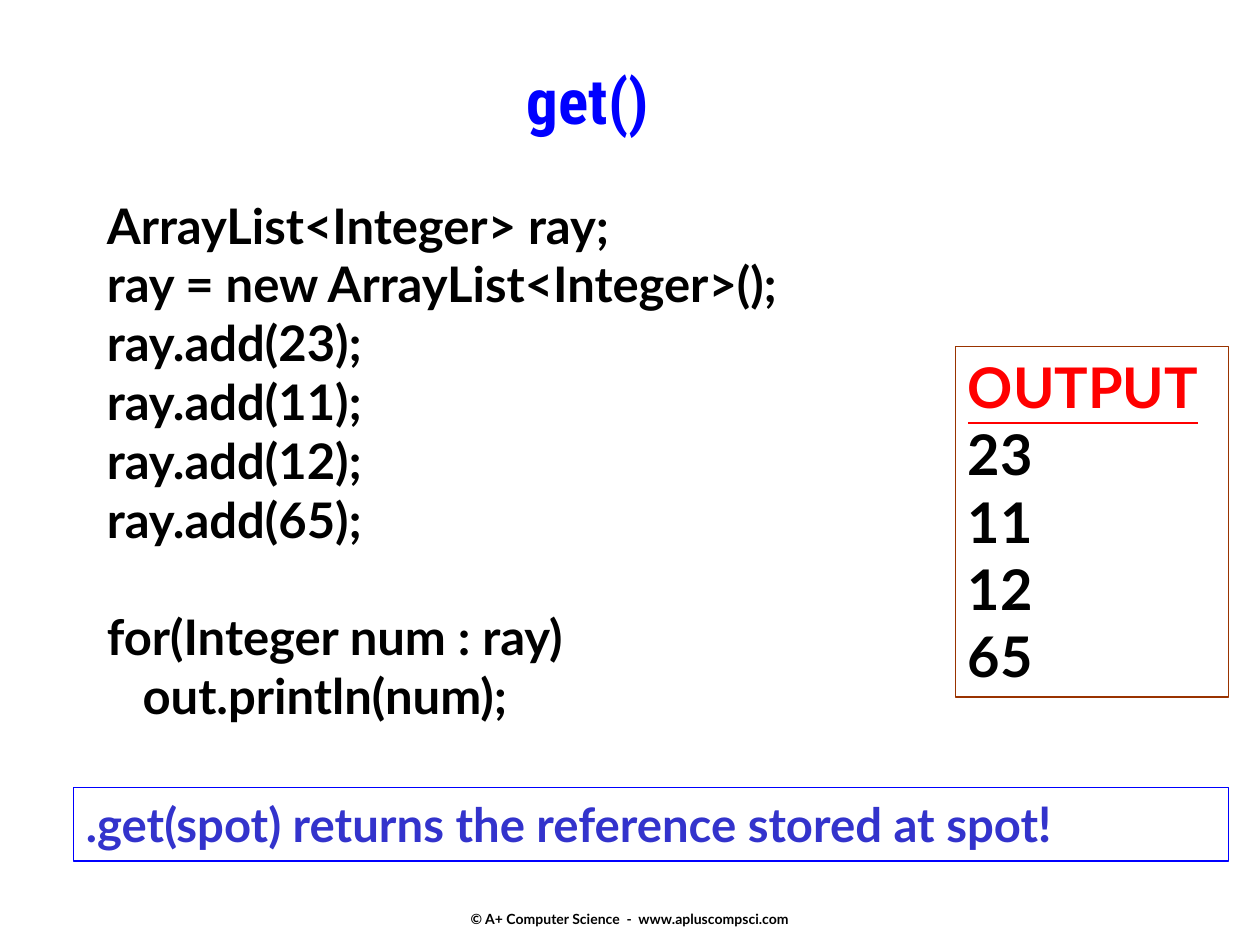
from dataclasses import dataclass

from pptx import Presentation
from pptx.dml.color import RGBColor as RGB
from pptx.enum.shapes import MSO_SHAPE as Shape
from pptx.enum.text import MSO_ANCHOR as Anchor, MSO_AUTO_SIZE as AutoSize, PP_ALIGN as Align
from pptx.util import Inches, Pt

COLS, ROWS = 120, 90  # grid of 1/12 inch cells


@dataclass(frozen=True)
class Theme:
    body_font: str = "Lato"
    title_font: str = "Roboto Condensed"
    black: str = "000000"
    blue: str = "0000FF"
    red: str = "FF0000"
    indigo: str = "3333CC"
    brown: str = "993300"
    title: int = 36
    output: int = 32
    code: int = 28
    note: int = 27
    footer: int = 8


THEME = Theme()

CODE = [
    ["ArrayList<Integer> ray;", "ray = new ArrayList<Integer>();"]
    + [f"ray.add({n});" for n in (23, 11, 12, 65)],
    ["for(Integer num : ray)", "   out.println(num);"],
]


def cells(*counts):
    return [Inches(n / 12) for n in counts]


def style(p, size, color, font=THEME.body_font):
    p.font.name, p.font.size, p.font.bold = font, Pt(size), True
    p.font.color.rgb = RGB.from_string(color)


def write(tf, lines, size, color):
    """Fill a frame with one paragraph per line and return the paragraphs."""
    for i, line in enumerate(lines):
        p = tf.paragraphs[0] if i == 0 else tf.add_paragraph()
        p.text = line
        p.alignment = Align.LEFT
        style(p, size, color)
    return tf.paragraphs


def add_title(s, grid, text):
    sp = s.shapes.title
    sp.left, sp.top, sp.width, sp.height = cells(*grid)
    tf = sp.text_frame
    tf.text = text
    tf.auto_size, tf.vertical_anchor = AutoSize.NONE, Anchor.MIDDLE
    p = tf.paragraphs[0]
    p.alignment = Align.CENTER
    style(p, THEME.title, THEME.blue, THEME.title_font)


def add_code(s, grid, blocks):
    tf = s.shapes.add_textbox(*cells(*grid)).text_frame
    tf.word_wrap = False
    paragraphs = write(tf, sum(blocks, []), THEME.code, THEME.black)
    # One empty line's height separates the blocks
    paragraphs[len(blocks[0])].space_before = Pt(THEME.code * 1.2)


def add_panel(s, grid, line, lines, size, color):
    sp = s.shapes.add_shape(Shape.RECTANGLE, *cells(*grid))
    sp.shadow.inherit = False
    sp.fill.background()
    sp.line.color.rgb, sp.line.width = RGB.from_string(line), Pt(1)
    tf = sp.text_frame
    tf.word_wrap, tf.vertical_anchor = True, Anchor.TOP
    return write(tf, lines, size, color)


def add_footer(s, grid, text):
    tf = s.shapes.add_textbox(*cells(*grid)).text_frame
    tf.word_wrap, tf.vertical_anchor = False, Anchor.MIDDLE
    p = write(tf, [text], THEME.footer, THEME.black)[0]
    p.alignment = Align.CENTER


def main():
    prs = Presentation()
    prs.slide_width, prs.slide_height = cells(COLS, ROWS)
    s = prs.slides.add_slide(prs.slide_layouts[5])

    add_footer(s, (41, 85, 38, 5), "© A+ Computer Science  -  www.apluscompsci.com")
    add_code(s, (9, 18, 80, 51.6), CODE)
    add_title(s, (14, 5, 84, 9), "get()")

    # Printed result, under an underlined heading
    heading = add_panel(s, (91, 33, 26, 33.4), THEME.brown,
                        ["OUTPUT", "23", "11", "12", "65"], THEME.output, THEME.black)[0]
    style(heading, THEME.output, THEME.red)
    heading.font.underline = True

    # Takeaway, with a slightly larger exclamation mark
    note = add_panel(s, (7, 75, 110, 7), THEME.blue,
                     [".get(spot) returns the reference stored at spot"],
                     THEME.note, THEME.indigo)[0]
    r = note.add_run()
    r.text = "!"
    r.font.size = Pt(THEME.code)

    prs.save("out.pptx")


if __name__ == "__main__":
    main()
